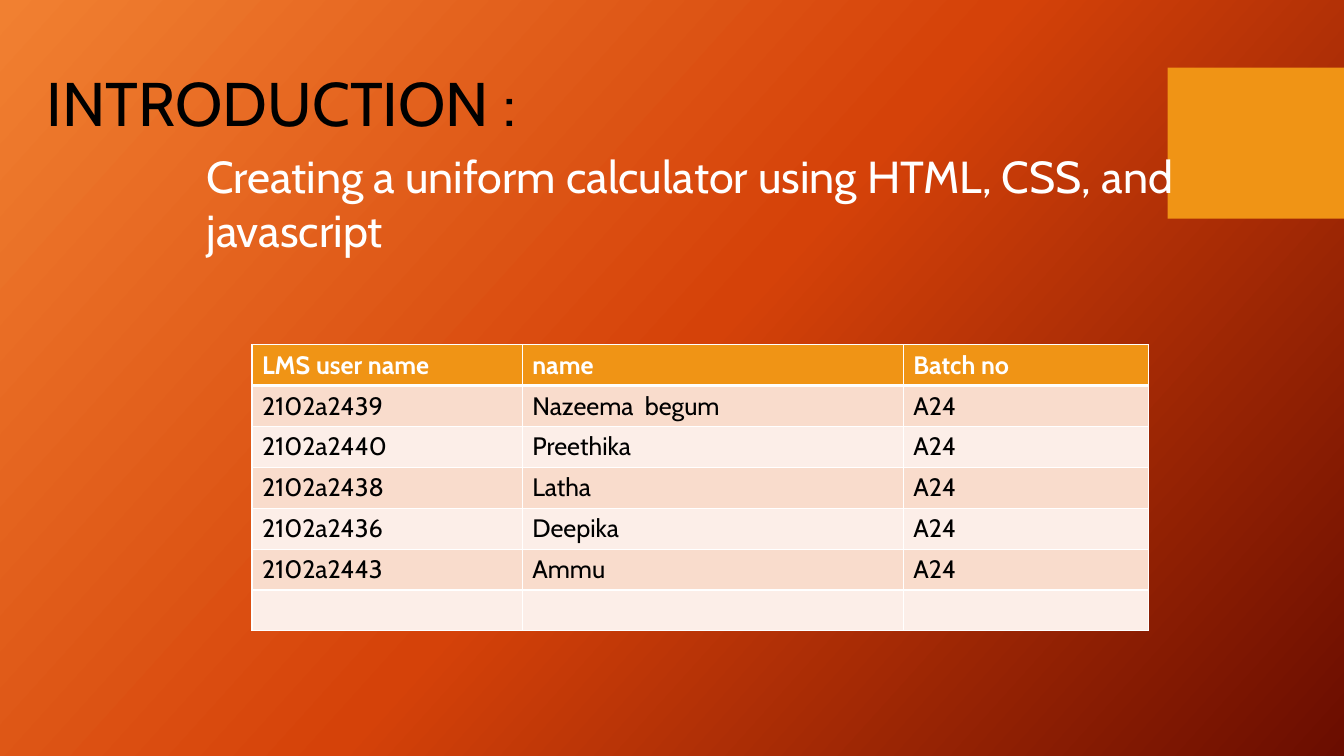
from copy import deepcopy
from dataclasses import dataclass

from lxml.etree import SubElement
from pptx import Presentation
from pptx.dml.color import RGBColor
from pptx.enum.shapes import MSO_SHAPE as Shape
from pptx.enum.text import MSO_ANCHOR as Anchor, MSO_AUTO_SIZE as AutoSize, PP_ALIGN as Align
from pptx.oxml.ns import qn
from pptx.util import Inches, Pt

# Content
TITLE = "INTRODUCTION :"
SUBTITLE = "Creating a uniform calculator using HTML, CSS, and javascript"
HEADER = ("LMS user name", "name", "Batch no")
MEMBERS = [
    ("2102a2439", "Nazeema  begum"),
    ("2102a2440", "Preethika"),
    ("2102a2438", "Latha"),
    ("2102a2436", "Deepika"),
    ("2102a2443", "Ammu"),
]
BATCH = "A24"
ROWS = [HEADER, *[(*member, BATCH) for member in MEMBERS], ("", "", "")]


@dataclass(frozen=True)
class Theme:
    font: str = "Cabin"
    accent: str = "F09415"
    dark: str = "000000"
    light: str = "FFFFFF"
    bands: tuple = ("FCEEE8", "F9DCCC")
    gradient: tuple = ("F18031", "D54209", "6A0D00")
    gradient_angle: int = 42
    title_size: int = 44
    subtitle_size: int = 32
    table_size: int = 18


THEME = Theme()

# Layout in inches: left, top, width, height
WIDTH, HEIGHT = 13.33, 7.5
TITLE_BOX = (0.36, 0.59, 5.39, 0.84)
SUBTITLE_BOX = (1.95, 1.43, 9.98, 1.18)
ACCENT_BOX = (WIDTH - 1.75, 0.67, 1.75, 1.5)
COLUMNS = (2.68, 3.78, 2.43)
TABLE_BOX = (2.5, 3.42, sum(COLUMNS), 2.84)


def rgb(value):
    return RGBColor.from_string(value)


def inches(box):
    return [Inches(length) for length in box]


def style_font(paragraph, size, color, bold=False):
    font = paragraph.font
    font.name, font.size, font.bold = THEME.font, Pt(size), bold
    font.color.rgb = rgb(color)


def paint_background(slide):
    fill = slide.background.fill
    fill.gradient()
    fill.gradient_angle = 360 - THEME.gradient_angle
    stop_list = next(slide.element.iter(qn("a:gsLst")))
    stop_list.insert(1, deepcopy(stop_list[0]))
    last = len(THEME.gradient) - 1
    for index, (stop, color) in enumerate(zip(fill.gradient_stops, THEME.gradient)):
        stop.position = index / last
        stop.color.rgb = rgb(color)


def fill_placeholder(shape, box, text, size, color):
    shape.left, shape.top, shape.width, shape.height = inches(box)
    frame = shape.text_frame
    frame.text = text
    frame.word_wrap, frame.auto_size = True, AutoSize.NONE
    frame.vertical_anchor = Anchor.TOP
    paragraph = frame.paragraphs[0]
    paragraph.alignment = Align.LEFT
    paragraph.space_before = Pt(0)
    style_font(paragraph, size, color)
    properties = paragraph._p.get_or_add_pPr()
    properties.set("marL", "0")
    properties.set("indent", "0")
    SubElement(properties, qn("a:buNone"))


def add_accent_block(slide):
    block = slide.shapes.add_shape(Shape.RECTANGLE, *inches(ACCENT_BOX))
    block.shadow.inherit = False
    block.fill.solid()
    block.fill.fore_color.rgb = rgb(THEME.accent)
    block.line.fill.background()
    # Send behind the text
    block.element.getparent().insert(2, block.element)


def set_borders(cell, widths):
    properties = cell._tc.get_or_add_tcPr()
    for index, (side, width) in enumerate(widths.items()):
        line = properties.makeelement(qn(f"a:ln{side}"), {"w": str(Pt(width))})
        fill = SubElement(line, qn("a:solidFill"))
        SubElement(fill, qn("a:srgbClr"), val=THEME.light)
        properties.insert(index, line)


def add_member_table(slide):
    table = slide.shapes.add_table(len(ROWS), len(COLUMNS), *inches(TABLE_BOX)).table
    for column, width in zip(table.columns, COLUMNS):
        column.width = Inches(width)
    for row_index, values in enumerate(ROWS):
        is_header = row_index == 0
        background = THEME.accent if is_header else THEME.bands[row_index % 2]
        color = THEME.light if is_header else THEME.dark
        borders = {"L": 1, "R": 1, "T": 3 if row_index == 1 else 1, "B": 3 if is_header else 1}
        for column_index, value in enumerate(values):
            cell = table.cell(row_index, column_index)
            cell.text = value
            cell.fill.solid()
            cell.fill.fore_color.rgb = rgb(background)
            style_font(cell.text_frame.paragraphs[0], THEME.table_size, color, is_header)
            set_borders(cell, borders)


def main():
    presentation = Presentation()
    presentation.slide_width, presentation.slide_height = Inches(WIDTH), Inches(HEIGHT)
    slide = presentation.slides.add_slide(presentation.slide_layouts[1])
    paint_background(slide)
    add_accent_block(slide)
    fill_placeholder(slide.shapes.title, TITLE_BOX, TITLE, THEME.title_size, THEME.dark)
    fill_placeholder(slide.placeholders[1], SUBTITLE_BOX, SUBTITLE,
                     THEME.subtitle_size, THEME.light)
    add_member_table(slide)
    presentation.save("out.pptx")


if __name__ == "__main__":
    main()
